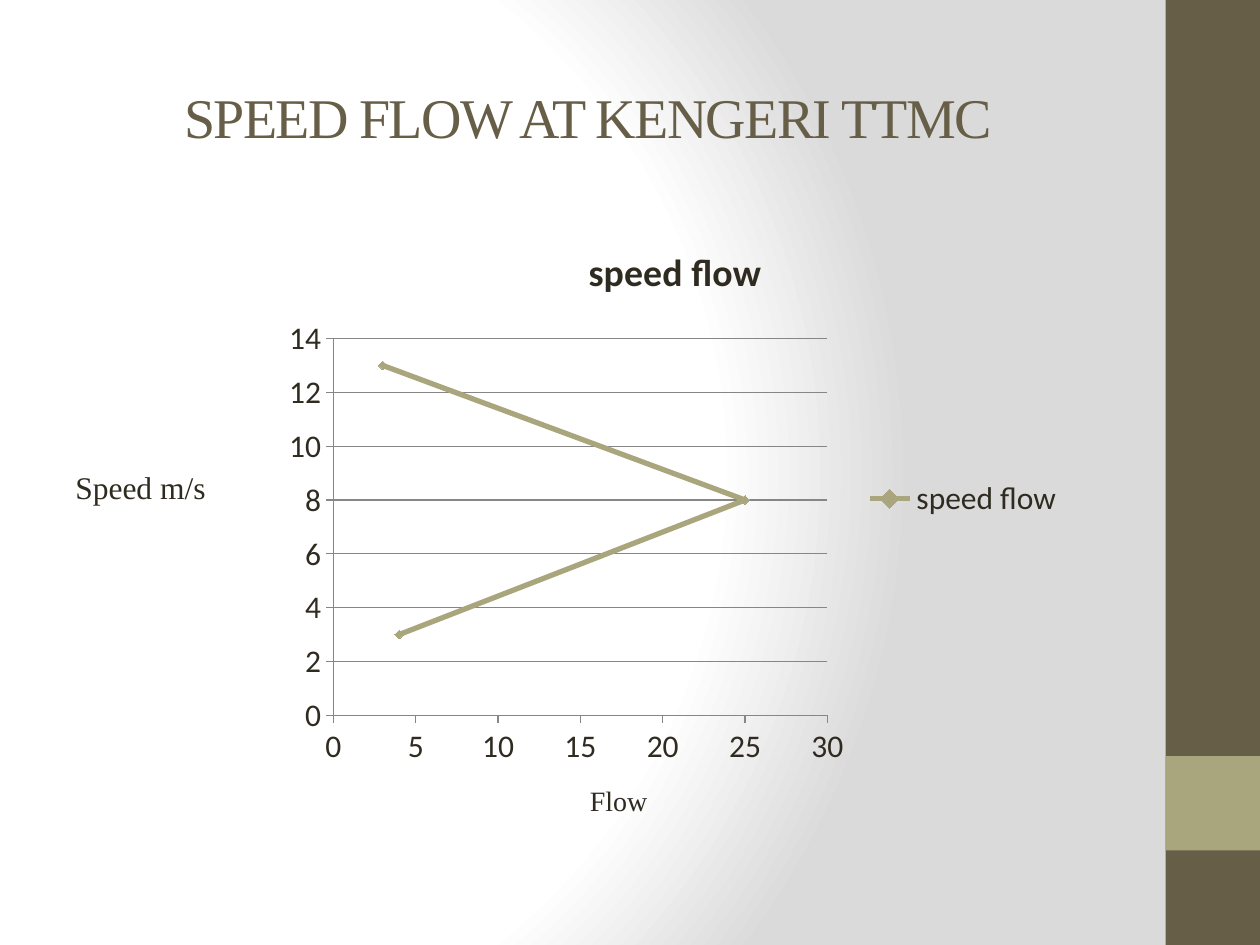
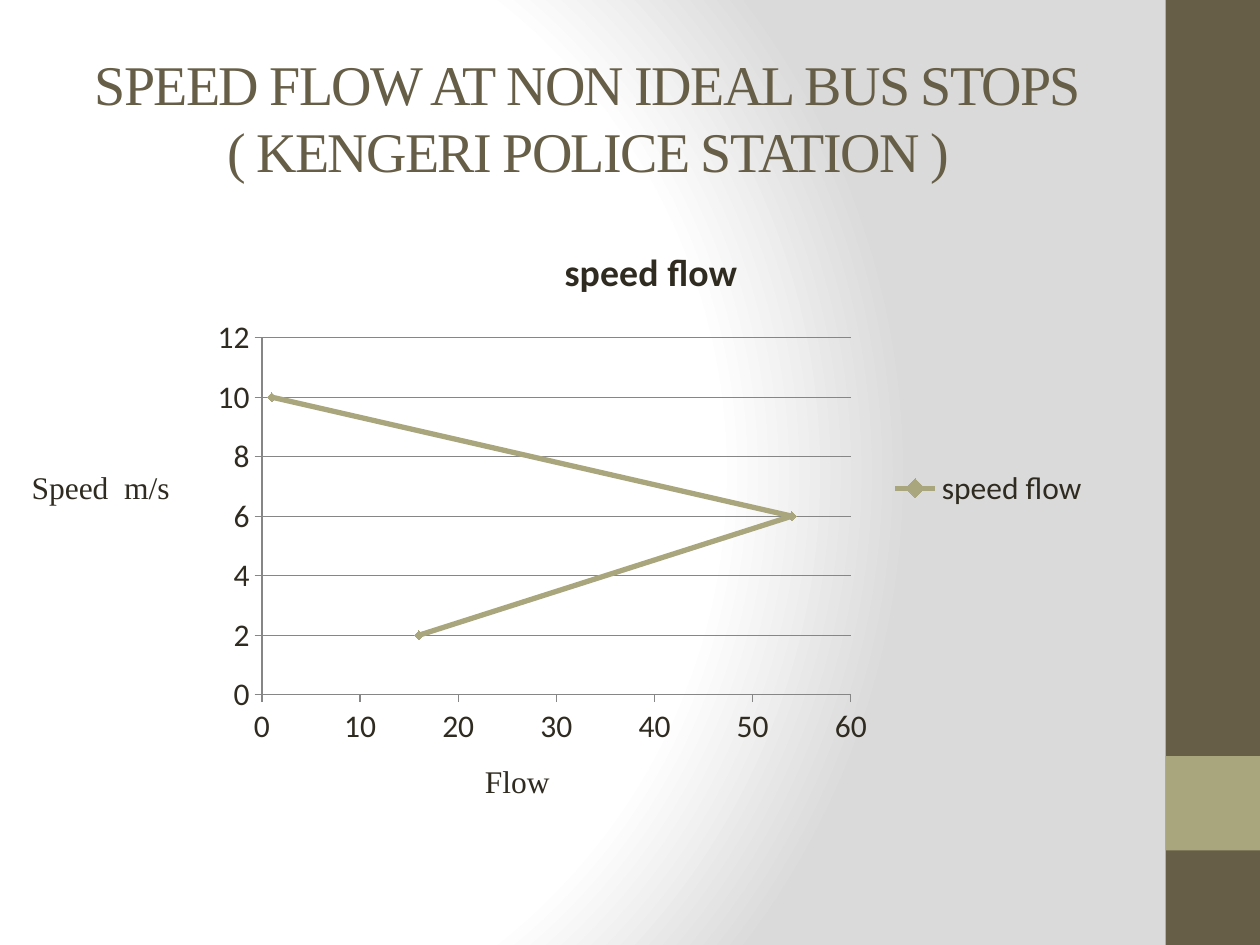
"""Build two slides showing speed against flow at Kengeri bus stops."""
from pptx import Presentation
from pptx.chart.data import XyChartData
from pptx.dml.color import RGBColor
from pptx.enum.chart import XL_CHART_TYPE, XL_LEGEND_POSITION, XL_MARKER_STYLE, XL_TICK_MARK
from pptx.enum.shapes import MSO_SHAPE
from pptx.enum.text import MSO_ANCHOR, MSO_AUTO_SIZE, PP_ALIGN
from pptx.oxml import parse_xml
from pptx.oxml.ns import nsdecls, qn
from pptx.util import Pt

SMOOTH_SCATTER = XL_CHART_TYPE.XY_SCATTER_SMOOTH
LEGEND_RIGHT = XL_LEGEND_POSITION.RIGHT
DIAMOND = XL_MARKER_STYLE.DIAMOND
TICK_OUTSIDE = XL_TICK_MARK.OUTSIDE
RECTANGLE = MSO_SHAPE.RECTANGLE
MIDDLE = MSO_ANCHOR.MIDDLE
FIT_SHAPE, FIT_NONE = MSO_AUTO_SIZE.SHAPE_TO_FIT_TEXT, MSO_AUTO_SIZE.NONE
LEFT, CENTER = PP_ALIGN.LEFT, PP_ALIGN.CENTER

BROWN = RGBColor(0x67, 0x5E, 0x47)
OLIVE = RGBColor(0xA9, 0xA5, 0x7C)
INK = RGBColor(0x2F, 0x2B, 0x20)
AXIS_GRAY = RGBColor(0x86, 0x86, 0x86)
SERIF, SANS = "Times New Roman", "Calibri"
SERIES_NAME = "speed flow"

BACKDROP = f"""<a:gradFill {nsdecls('a')} rotWithShape="1"><a:gsLst>
<a:gs pos="0"><a:srgbClr val="FFFFFF"/></a:gs>
<a:gs pos="75000"><a:srgbClr val="FFFFFF"/></a:gs>
<a:gs pos="100000"><a:srgbClr val="DADADA"/></a:gs></a:gsLst>
<a:path path="circle"><a:fillToRect l="20000" t="50000" r="100000" b="50000"/></a:path>
</a:gradFill>"""

SIDE_BANDS = [(0, 540, BROWN), (432, 54, OLIVE)]

SLIDES = [
    {
        "title": "SPEED FLOW AT KENGERI TTMC",
        "points": [(4, 3), (25, 8), (3, 13)],
        "chart_box": (156, 126, 459.5, 318),
        "flow_axis": (30, 5),
        "speed_axis": (14, 2),
        "captions": [("Flow", (330, 444, 234, 26.6), 16),
                     ("Speed m/s", (36, 264, 360, 29), 18)],
    },
    {
        "title": "SPEED FLOW AT NON IDEAL BUS STOPS\v( KENGERI POLICE STATION )",
        "points": [(16, 2), (54, 6), (1, 10)],
        "chart_box": (114, 126, 516, 306),
        "flow_axis": (60, 10),
        "speed_axis": (12, 2),
        "captions": [("Flow", (270, 432, 360, 29), 18),
                     ("Speed  m/s", (11, 264, 360, 29), 18)],
    },
]


def add_text(slide, text, box, size, color, align=LEFT, fit=FIT_SHAPE):
    frame = slide.shapes.add_textbox(*map(Pt, box)).text_frame
    frame.word_wrap = True
    frame.auto_size = fit
    frame.text = text
    paragraph = frame.paragraphs[0]
    paragraph.alignment = align
    paragraph.font.name = SERIF
    paragraph.font.size = Pt(size)
    paragraph.font.color.rgb = color
    return frame


def style_axis(axis, maximum, step, has_grid):
    axis.minimum_scale, axis.maximum_scale, axis.major_unit = 0, maximum, step
    axis.major_tick_mark = TICK_OUTSIDE
    axis.has_major_gridlines = has_grid
    lines = [axis.format.line]
    if has_grid:
        lines.append(axis.major_gridlines.format.line)
    for line in lines:
        line.color.rgb = AXIS_GRAY
        line.width = Pt(0.75)


prs = Presentation()
prs.slide_width, prs.slide_height = Pt(720), Pt(540)

for content in SLIDES:
    slide = prs.slides.add_slide(prs.slide_layouts[6])
    slide.background.fill.solid()
    background = slide.element.find(".//" + qn("p:bgPr"))
    background.replace(background[0], parse_xml(BACKDROP))

    for top, height, color in SIDE_BANDS:
        band = slide.shapes.add_shape(RECTANGLE, Pt(666), Pt(top), Pt(54), Pt(height))
        band.shadow.inherit = False
        band.fill.solid()
        band.fill.fore_color.rgb = color
        band.line.fill.background()

    heading = add_text(slide, content["title"], (36, 21.6, 600, 90), 32, BROWN, CENTER, FIT_NONE)
    heading.vertical_anchor = MIDDLE
    for run in heading.paragraphs[0].runs:
        run.font.element.set("spc", "-100") if hasattr(run.font, "element") else run._r.get_or_add_rPr().set("spc", "-100")

    chart_data = XyChartData()
    speeds = chart_data.add_series(SERIES_NAME)
    for flow, speed in content["points"]:
        speeds.add_data_point(flow, speed)
    chart = slide.shapes.add_chart(SMOOTH_SCATTER, *map(Pt, content["chart_box"]), chart_data).chart
    chart.font.name = SANS
    chart.font.size = Pt(18)
    chart.font.color.rgb = INK

    chart.has_title = True
    chart.chart_title.include_in_layout = False
    chart.chart_title.text_frame.text = SERIES_NAME
    title_font = chart.chart_title.text_frame.paragraphs[0].font
    title_font.name = SANS
    title_font.size = Pt(21.6)
    title_font.bold = True
    title_font.color.rgb = INK

    chart.has_legend = True
    chart.legend.position = LEGEND_RIGHT
    chart.legend.include_in_layout = False
    style_axis(chart.category_axis, *content["flow_axis"], False)
    style_axis(chart.value_axis, *content["speed_axis"], True)

    plot = chart.plots[0]
    plot.vary_by_categories = False
    curve = plot.series[0]
    curve.smooth = True
    curve.format.line.color.rgb = OLIVE
    curve.format.line.width = Pt(3)
    curve.marker.style = DIAMOND
    curve.marker.size = 5
    curve.marker.format.fill.solid()
    curve.marker.format.fill.fore_color.rgb = OLIVE
    curve.marker.format.line.color.rgb = OLIVE

    for text, box, size in content["captions"]:
        add_text(slide, text, box, size, INK)

prs.save("out.pptx")
